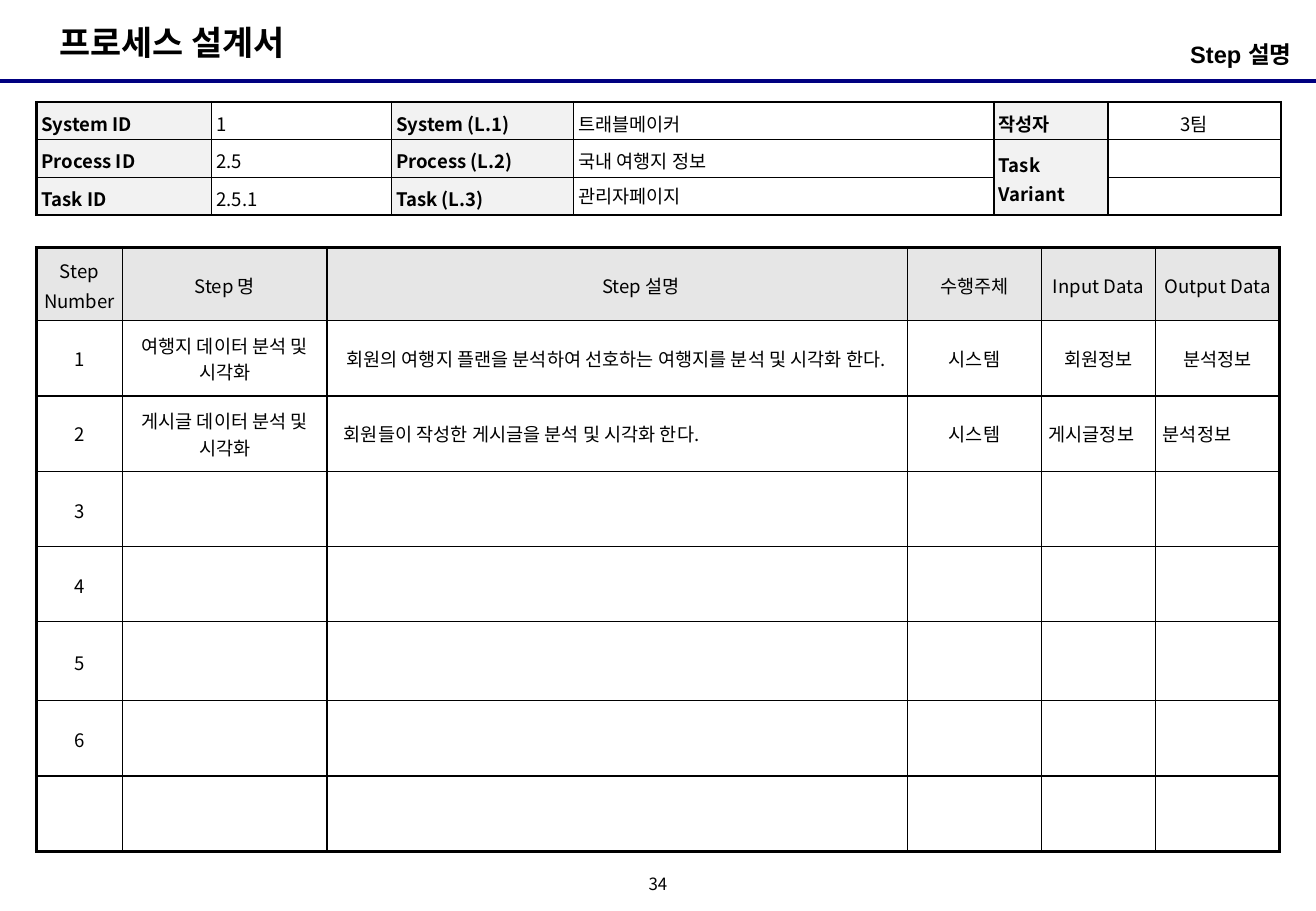
from pptx import Presentation
from pptx.dml.color import RGBColor
from pptx.enum.shapes import MSO_CONNECTOR
from pptx.enum.text import MSO_ANCHOR, PP_ALIGN
from pptx.oxml.ns import qn
from pptx.util import Inches, Pt
from lxml.etree import SubElement

NOTO = "Noto Sans CJK KR"
color = RGBColor.from_string


def style(para, size, face=NOTO, bold=False, align=PP_ALIGN.LEFT, space=1.0):
    font = para.font
    font.size, font.name, font.bold = Pt(size), face, bold
    font.color.rgb = color("000000")
    para.alignment, para.line_spacing = align, space


def border(cell, sides):
    props = cell._tc.get_or_add_tcPr()
    for side, width in sides.items():
        line = SubElement(props, qn(f"a:ln{side}"), w=str(Pt(width)))
        fill = SubElement(line, qn("a:solidFill"))
        SubElement(fill, qn("a:srgbClr"), val="000000")


deck = Presentation()
deck.slide_width, deck.slide_height = Inches(10.83), Inches(7.5)
slide = deck.slides.add_slide(deck.slide_layouts[5])
shapes = slide.shapes

# Header rule
rule = shapes.add_connector(MSO_CONNECTOR.STRAIGHT, 0, Inches(0.67), Inches(10.83), Inches(0.67))
rule.line.color.rgb = color("000080")
rule.line.width = Pt(2.25)
SubElement(rule._element.spPr, qn("a:effectLst"))

# Title
title = shapes.title
title.left, title.top = Inches(0.39), Inches(0.13)
title.width, title.height = Inches(2.26), Inches(0.44)
title.text_frame.text = "프로세스 설계서"
title.text_frame.vertical_anchor = MSO_ANCHOR.TOP
style(title.text_frame.paragraphs[0], 20, "Arial", True)

# Section label and page number
labels = [
    ("Step 설명", (7.39, 0.28, 3.24, 0.39), 0.05, MSO_ANCHOR.TOP,
     (14, "Arial", True, PP_ALIGN.RIGHT)),
    ("34", (5.25, 7.17, 0.33, 0.25), 0, MSO_ANCHOR.MIDDLE,
     (10, NOTO, False, PP_ALIGN.CENTER, 0.8)),
]
for text, place, inset, anchor, look in labels:
    frame = shapes.add_textbox(*map(Inches, place)).text_frame
    frame.word_wrap = True
    frame.margin_left = frame.margin_right = 0
    frame.margin_top = frame.margin_bottom = Inches(inset)
    frame.vertical_anchor = anchor
    frame.text = text
    style(frame.paragraphs[0], *look)

# Table contents
info = [
    ["System ID", "1", "System (L.1)", "트래블메이커", "작성자", "3팀"],
    ["Process ID", "2.5", "Process (L.2)", "국내 여행지 정보", "Task Variant", ""],
    ["Task ID", "2.5.1", "Task (L.3)", "관리자페이지", "", ""],
]
steps = [
    ["Step Number", "Step 명", "Step 설명", "수행주체", "Input Data", "Output Data"],
    ["1", "여행지 데이터 분석 및 시각화",
     "회원의 여행지 플랜을 분석하여 선호하는 여행지를 분석 및 시각화 한다.",
     "시스템", "회원정보", "분석정보"],
    ["2", "게시글 데이터 분석 및 시각화",
     "회원들이 작성한 게시글을 분석 및 시각화 한다.",
     "시스템", "게시글정보", "분석정보"],
    *[[str(n)] + [""] * 5 for n in range(3, 7)],
    [""] * 6,
]
indents = {(0, 2): 0.39, (1, 2): 0.1, (2, 2): 0.08}
lefts = [(1, 2), (2, 2), (2, 4), (2, 5)]

# Both tables: heavy outer frame, thin inner lines
tables = [
    (steps, 2.04, [0.71, 1.68, 4.78, 1.1, 0.94, 1.02],
     [0.6] + [0.62] * 4 + [0.65] + [0.62] * 2, 2.25, 0.06),
    (info, 0.84, [1.44, 1.48, 1.5, 3.46, 0.94, 1.42], [0.31] * 3, 1.5, 0.04),
]
for data, top, widths, heights, heavy, pad in tables:
    grid = shapes.add_table(len(data), len(widths), Inches(0.3), Inches(top),
                            Inches(sum(widths)), Inches(sum(heights))).table
    grid.first_row = grid.horz_banding = False
    for col, width in zip(grid.columns, widths):
        col.width = Inches(width)
    for row, height in zip(grid.rows, heights):
        row.height = Inches(height)
    if data is info:
        grid.cell(1, 4).merge(grid.cell(2, 4))

    for r, row in enumerate(data):
        for c, text in enumerate(row):
            cell = grid.cell(r, c)
            border(cell, {
                "L": heavy if c == 0 else 1,
                "R": heavy if c == len(row) - 1 else 1,
                "T": heavy if r == 0 else 1,
                "B": heavy if r == len(data) - 1 else 1,
            })
            cell.margin_left = cell.margin_right = Inches(pad)
            cell.margin_top = cell.margin_bottom = Inches(0.04)
            if not cell.is_spanned:
                cell.text = text
            para = cell.text_frame.paragraphs[0]

            if data is info:
                head, shade = c % 2 == 0, "F2F2F2"
                middle = c > 3
                align = PP_ALIGN.CENTER if c == 5 else PP_ALIGN.LEFT
                space = 1.0 if (r, c) == (2, 3) else 1.1
            else:
                head, shade = r == 0, "E6E6E6"
                middle = True
                align = PP_ALIGN.LEFT if (r, c) in lefts else PP_ALIGN.CENTER
                space = 1.0 if r in (1, 2) else 1.1
                if (r, c) in indents:
                    props = para._p.get_or_add_pPr()
                    props.set("marL", str(Inches(indents[r, c])))
                    props.set("indent", "0")
            style(para, 11, NOTO, head and data is info, align, space)
            cell.vertical_anchor = MSO_ANCHOR.MIDDLE if middle else MSO_ANCHOR.TOP
            if head:
                cell.fill.solid()
                cell.fill.fore_color.rgb = color(shade)
            else:
                cell.fill.background()

deck.save("out.pptx")
